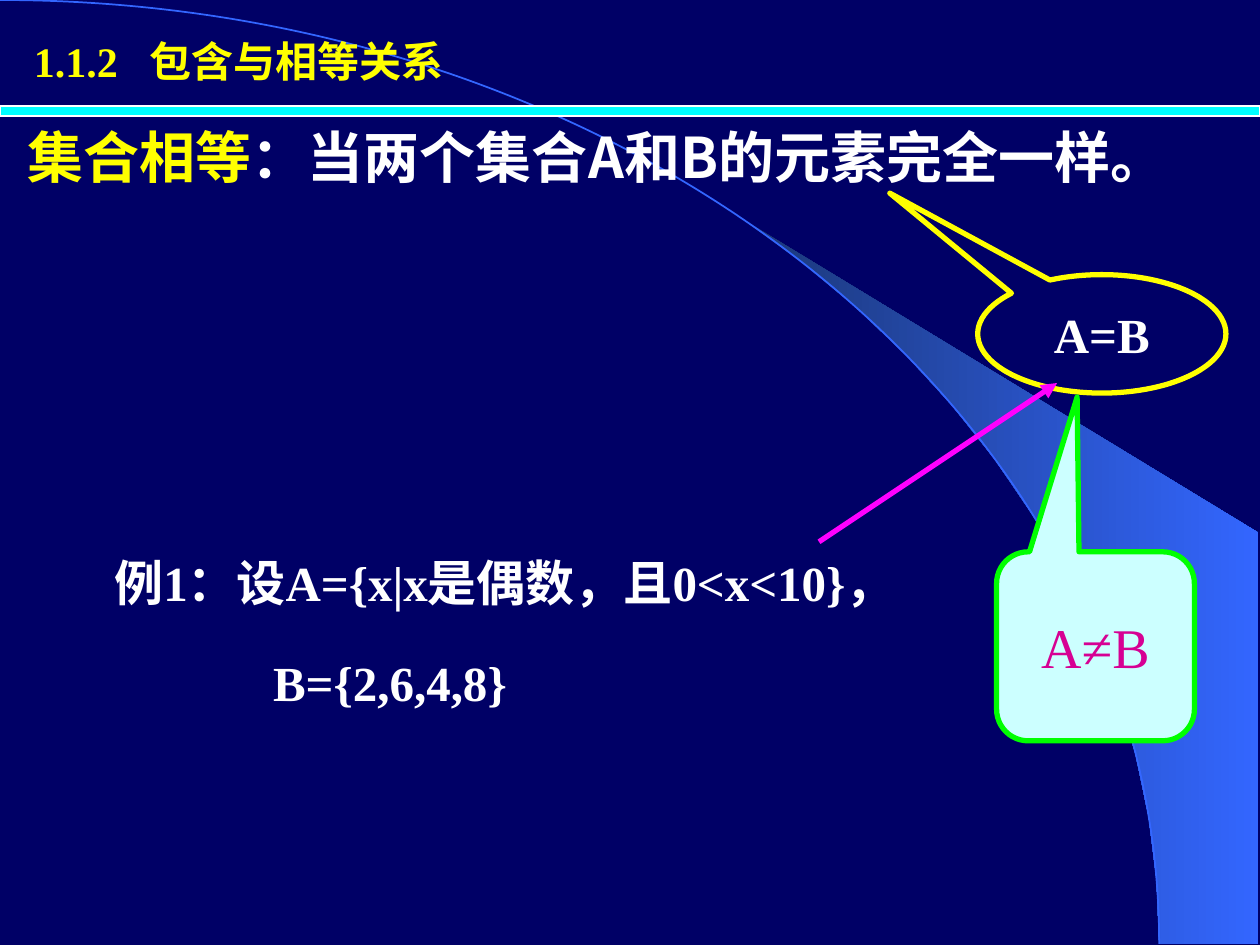
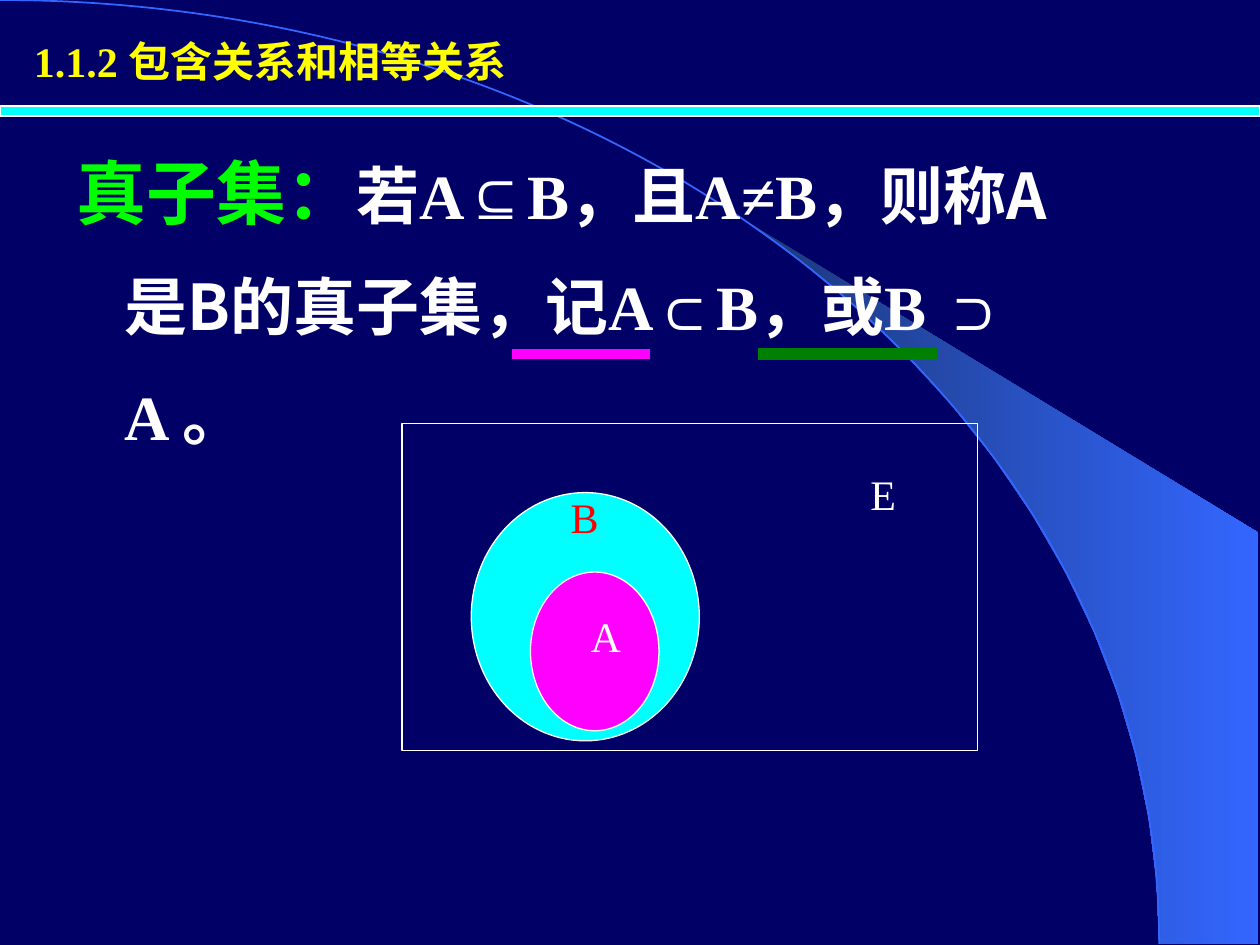
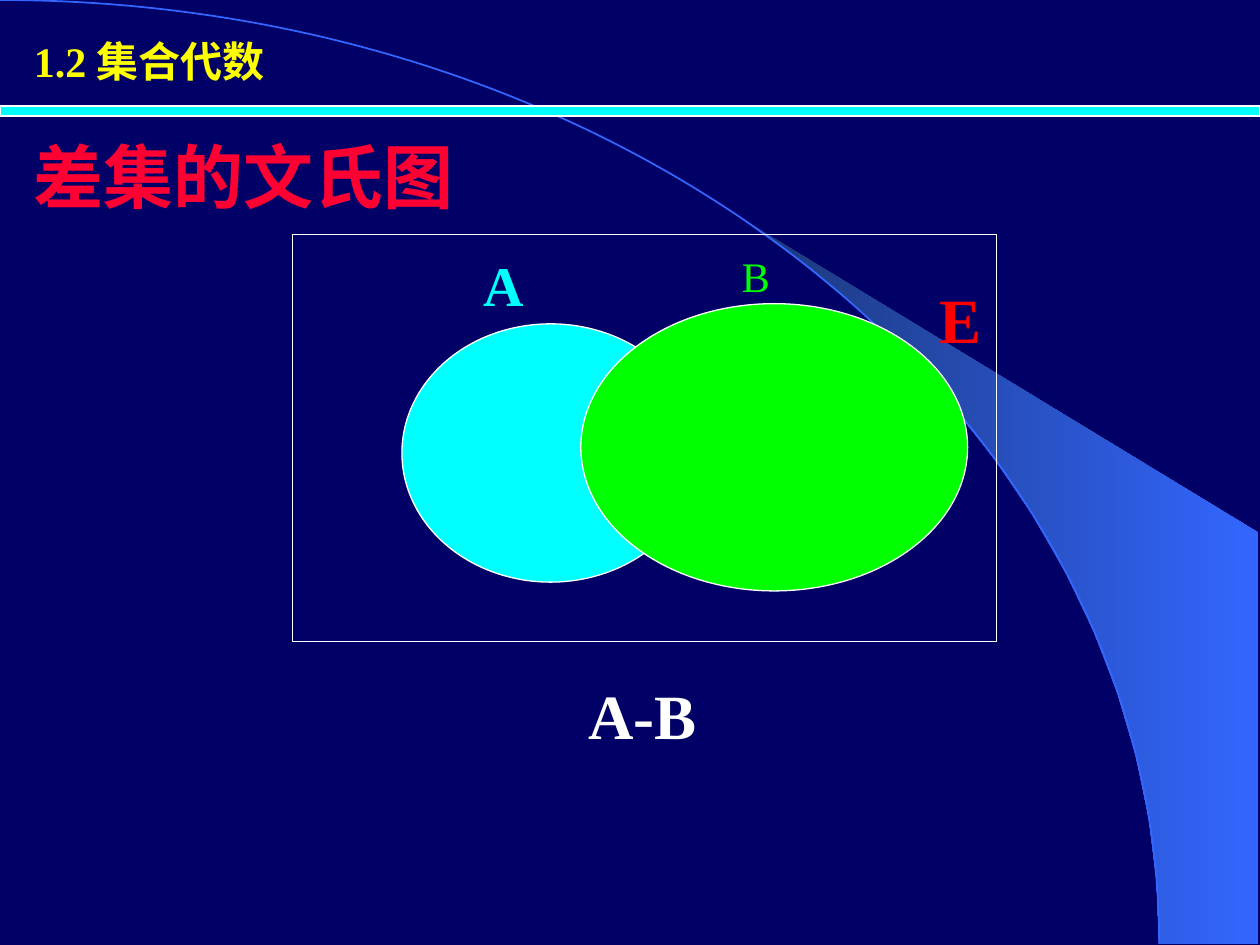
from math import asin, cos, pi, sin

from lxml.etree import SubElement
from pptx import Presentation
from pptx.dml.color import RGBColor
from pptx.enum.shapes import MSO_CONNECTOR as Connector, MSO_SHAPE as Preset
from pptx.enum.text import MSO_ANCHOR as Anchor, MSO_AUTO_SIZE as AutoSize, PP_ALIGN as Align
from pptx.oxml.ns import qn
from pptx.util import Inches, Pt

COLORS = {
    "navy": "000066", "sweep_dark": "1B3776", "sweep_light": "3366FF",
    "white": "FFFFFF", "yellow": "FFFF00", "cyan": "00FFFF",
    "magenta": "FF00FF", "lime": "00FF00", "green": "008000",
    "red": "FF0000", "crimson": "FF0033", "pink": "D60093", "ice": "CCFFFF",
}
SERIF = "Times New Roman"
SANS = "Noto Sans CJK SC"
ARC_WIDTH, ARC_HEIGHT = 9.2, 7.49


def rgb(name):
    """Return the named colour."""
    return RGBColor.from_string(COLORS[name])


def style_shape(shape, fill=None, line=None, width=0.75):
    """Set fill and outline, and remove the shadow."""
    shape.shadow.inherit = False
    if fill:
        shape.fill.solid()
        shape.fill.fore_color.rgb = rgb(fill)
    else:
        shape.fill.background()
    if line:
        shape.line.color.rgb = rgb(line)
        shape.line.width = Pt(width)
    else:
        shape.line.fill.background()


def add_runs(paragraph, runs, bold=False):
    """Append runs given as (text, font, size, colour)."""
    for text, font, size, color in runs:
        run = paragraph.add_run()
        run.text = text
        run.font.name = font
        run.font.size = Pt(size)
        run.font.bold = bold
        run.font.color.rgb = rgb(color)
        SubElement(run.font._element, qn("a:ea"), typeface=SANS)


def add_text(slide, box, runs, bold=False, wrap=True, grow=True):
    """Add a text box with one paragraph and return its frame."""
    frame = slide.shapes.add_textbox(*map(Inches, box)).text_frame
    frame.word_wrap = wrap
    frame.auto_size = AutoSize.SHAPE_TO_FIT_TEXT if grow else AutoSize.NONE
    add_runs(frame.paragraphs[0], runs, bold)
    return frame


def add_label(slide, box, text, color, size=24, bold=False):
    """Add a short unwrapped label."""
    add_text(slide, box, [(text, SERIF, size, color)], bold, wrap=False)


def add_preset(slide, preset, box, fill=None, line="white", width=0.75):
    """Add a styled preset shape."""
    shape = slide.shapes.add_shape(preset, *map(Inches, box))
    style_shape(shape, fill, line, width)
    return shape


def add_callout(slide, preset, box, adjustments, run, fill, line, bold=False):
    """Add a callout with centred text."""
    shape = add_preset(slide, preset, box, fill, line, 3)
    for index, value in enumerate(adjustments):
        shape.adjustments[index] = value
    frame = shape.text_frame
    frame.vertical_anchor = Anchor.MIDDLE
    frame.paragraphs[0].alignment = Align.CENTER
    add_runs(frame.paragraphs[0], [run], bold)


def add_line(slide, start, end, color, width, arrow=False):
    """Add a straight line, with an arrowhead on request."""
    points = map(Inches, (*start, *end))
    connector = slide.shapes.add_connector(Connector.STRAIGHT, *points)
    connector.line.color.rgb = rgb(color)
    connector.line.width = Pt(width)
    if arrow:
        SubElement(connector.line._get_or_add_ln(), qn("a:tailEnd"), type="triangle")
    SubElement(connector._element.spPr, qn("a:effectLst"))


def add_outline(slide, points, close):
    """Add a freeform through the points."""
    scaled = [(Inches(x), Inches(y)) for x, y in points]
    builder = slide.shapes.build_freeform(*scaled[0])
    builder.add_line_segments(scaled[1:], close=close)
    shape = builder.convert_to_shape()
    style_shape(shape)
    return shape


def add_sweep(slide, steps=13):
    """Draw the gradient area between the arc and the right edge."""
    start = asin(5.89 / ARC_WIDTH)
    angles = [start + (pi / 2 - start) * step / steps for step in range(steps + 1)]
    edge = [(ARC_WIDTH * sin(angle), ARC_HEIGHT * (1 - cos(angle))) for angle in angles]
    sweep = add_outline(slide, edge + [(9.99, ARC_HEIGHT), (9.99, 4.23)], True)
    sweep.fill.gradient()
    sweep.fill.gradient_angle = 0
    for stop, name, position in zip(
            sweep.fill.gradient_stops, ("sweep_dark", "sweep_light"), (0, 1)):
        stop.color.rgb = rgb(name)
        stop.position = position


def add_arc(slide):
    """Draw the thin arc as a single curve."""
    arc = add_outline(slide, [(0, 0), (ARC_WIDTH, ARC_HEIGHT)], False)
    style_shape(arc, line="sweep_light", width=1)
    segment = arc._element.xpath(".//a:lnTo")[0]
    curve = SubElement(segment.getparent(), qn("a:cubicBezTo"))
    for x, y in ((5.08, 0), (ARC_WIDTH, 3.35), (ARC_WIDTH, ARC_HEIGHT)):
        SubElement(curve, qn("a:pt"), x=str(Inches(x)), y=str(Inches(y)))
    segment.getparent().remove(segment)


def add_base(presentation, number, title, tab=None):
    """Add a slide with backdrop, cyan band and section header."""
    slide = presentation.slides.add_slide(presentation.slide_layouts[6])
    slide.background.fill.solid()
    slide.background.fill.fore_color.rgb = rgb("navy")
    add_sweep(slide)
    add_arc(slide)
    add_preset(slide, Preset.RECTANGLE, (0, 0.84, 10, 0.08), "cyan")
    gap = "\t" if tab else " "
    runs = [(number + gap, SERIF, 24, "yellow"), (title, SANS, 24, "yellow")]
    frame = add_text(slide, (0.17, 0.23, 4.43, 0.5), runs, bold=True)
    if tab:
        properties = frame.paragraphs[0]._p.get_or_add_pPr()
        tabs = SubElement(properties, qn("a:tabLst"))
        SubElement(tabs, qn("a:tab"), pos=str(Inches(tab)), algn="l")
    return slide


def set_indent(paragraph, left, first=0):
    """Set the left margin and the first-line indent."""
    properties = paragraph._p.get_or_add_pPr()
    properties.set("marL", str(Inches(left)))
    properties.set("indent", str(Inches(first)))


def build_equality(presentation):
    """Build the slide on equal sets."""
    slide = add_base(presentation, "1.1.2", "包含与相等关系", tab=0.92)
    add_text(slide, (0.12, 0.92, 9.17, 2.44), [
        ("集合相等", SERIF, 32, "yellow"),
        ("：", SERIF, 32, "white"),
        ("当两个集合A和B的元素完全一样。", SANS, 32, "white"),
    ], bold=True, grow=False)
    add_callout(slide, Preset.OVAL_CALLOUT, (7.76, 2.18, 1.97, 0.94), (-0.854, -1.188),
                ("A=B", SERIF, 28, "white"), None, "yellow", bold=True)
    frame = add_text(slide, (0.81, 4.01, 8.13, 1.69), [
        ("例1：设A={x|x是偶数，且0<x<10}，", SERIF, 28, "white")], bold=True)
    second = frame.add_paragraph()
    set_indent(second, 1.26)
    add_runs(second, [("B={2,6,4,8}", SERIF, 28, "white")], bold=True)
    for paragraph in frame.paragraphs:
        paragraph.line_spacing = 1.7
    add_line(slide, (6.5, 4.3), (8.39, 3.04), "magenta", 3, arrow=True)
    add_callout(slide, Preset.ROUNDED_RECTANGULAR_CALLOUT, (7.91, 4.38, 1.57, 1.5),
                (-0.093, -1.319, 0.167), ("A≠B", SERIF, 32, "pink"), "ice", "lime")


def build_proper_subset(presentation):
    """Build the slide on proper subsets."""
    slide = add_base(presentation, "1.1.2", "包含关系和相等关系")
    definition = [
        ("若", SANS), ("A⊆B", SERIF), ("，且", SANS), ("A≠B", SERIF),
        ("，则称A是B的真子集，记", SANS), ("A⊂B", SERIF), ("，或", SANS),
        ("B ⊃ A ", SERIF), ("。", SANS),
    ]
    runs = [("真子集：", SANS, 40, "lime")]
    runs += [(text, font, 36, "white") for text, font in definition]
    frame = add_text(slide, (0.51, 0.84, 8.35, 2.36), runs, bold=True, grow=False)
    set_indent(frame.paragraphs[0], 0.38, -0.38)
    frame.paragraphs[0].line_spacing = 1.45
    add_preset(slide, Preset.RECTANGLE, (3.19, 3.36, 4.57, 2.6))
    add_label(slide, (6.81, 3.67, 0.4, 0.5), "E", "white")
    add_preset(slide, Preset.OVAL, (3.74, 3.91, 1.81, 1.97), "cyan")
    add_label(slide, (4.43, 3.85, 0.42, 0.5), "B", "red")
    add_preset(slide, Preset.OVAL, (4.21, 4.54, 1.02, 1.26), "magenta")
    add_label(slide, (4.59, 4.8, 0.44, 0.5), "A", "white")
    add_line(slide, (4.06, 2.81), (5.16, 2.81), "magenta", 6.25)
    add_line(slide, (6.02, 2.81), (7.44, 2.81), "green", 7.25)


def build_difference(presentation):
    """Build the slide with the Venn diagram of a difference."""
    slide = add_base(presentation, "1.2", "集合代数")
    title = add_text(slide, (0.17, 0.77, 8.5, 1.25),
                     [("差集的文氏图", "Arial", 40, "crimson")], bold=True, grow=False)
    title.vertical_anchor = Anchor.MIDDLE
    add_label(slide, (4.57, 5.32, 1.06, 0.7), "A-B", "white", 36, bold=True)
    add_label(slide, (7.36, 2.18, 0.53, 0.7), "E", "red", 36, bold=True)
    add_label(slide, (3.74, 1.94, 0.52, 0.63), "A", "cyan", 32, bold=True)
    add_label(slide, (5.79, 1.94, 0.42, 0.5), "B", "lime")
    add_preset(slide, Preset.RECTANGLE, (2.32, 1.86, 5.59, 3.23))
    add_preset(slide, Preset.OVAL, (3.19, 2.57, 2.36, 2.05), "cyan")
    add_preset(slide, Preset.OVAL, (4.61, 2.41, 3.07, 2.28), "lime")


def main():
    """Build and save the presentation."""
    presentation = Presentation()
    presentation.slide_width = Inches(10)
    presentation.slide_height = Inches(7.5)
    build_equality(presentation)
    build_proper_subset(presentation)
    build_difference(presentation)
    presentation.save("out.pptx")


if __name__ == "__main__":
    main()
